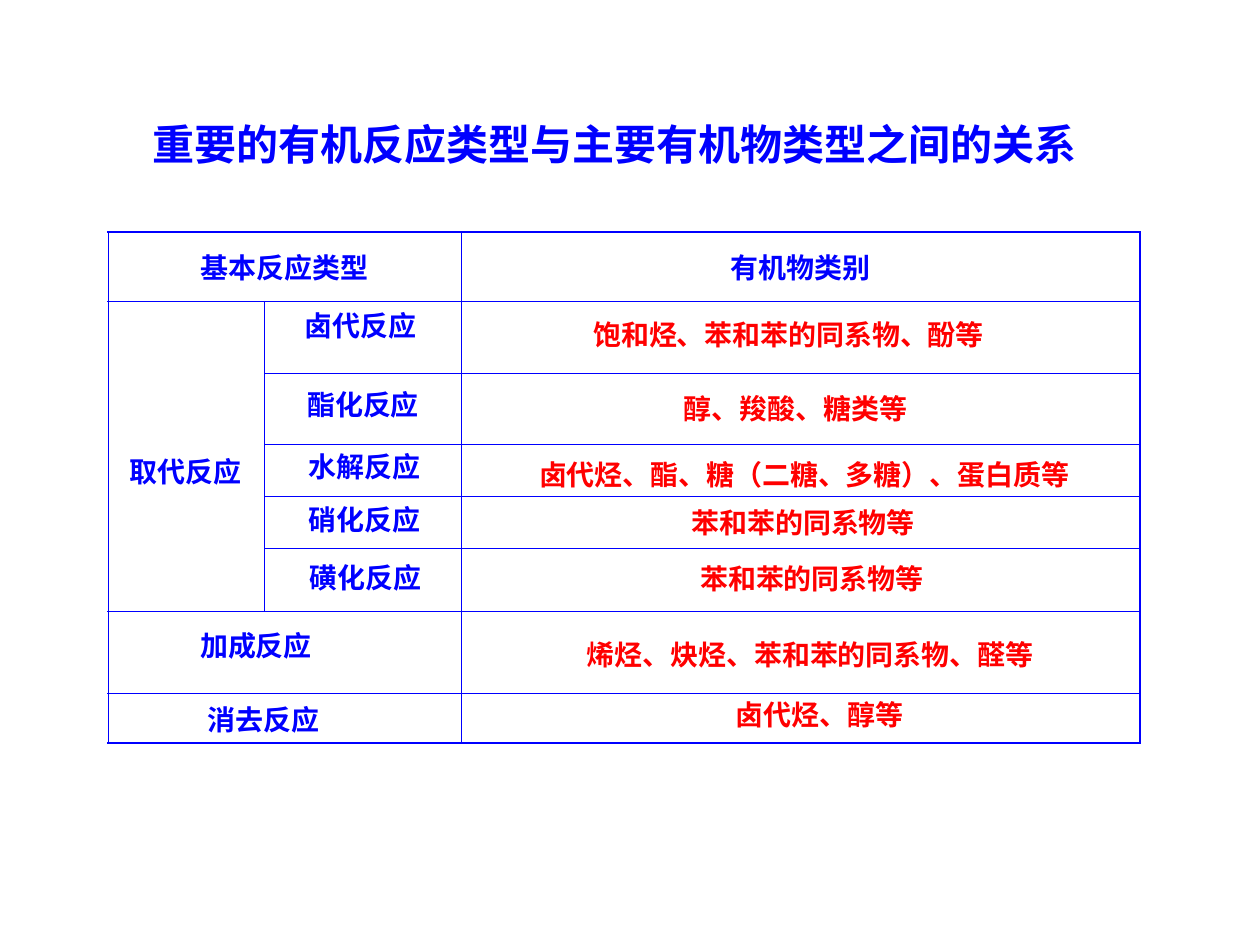
"""Build a slide relating organic reaction types to classes of organic compounds."""
from dataclasses import dataclass

from lxml import etree
from pptx import Presentation
from pptx.dml.color import RGBColor
from pptx.enum.text import MSO_ANCHOR, PP_ALIGN
from pptx.oxml.ns import qn
from pptx.util import Inches, Pt

MIDDLE = MSO_ANCHOR.MIDDLE
CENTER = PP_ALIGN.CENTER


@dataclass(frozen=True)
class Theme:
    font: str = "Noto Sans CJK SC"
    blue: RGBColor = RGBColor(0x00, 0x00, 0xFF)
    red: RGBColor = RGBColor(0xFF, 0x00, 0x00)
    title_size: float = 24
    body_size: float = 16
    empty_size: float = 10
    outer_line: float = 1.08
    inner_line: float = 0.45


@dataclass(frozen=True)
class Label:
    text: str
    left: float
    top: float
    width: float
    height: float = 0.37
    line_spacing: float = 1.0


THEME = Theme()
TITLE = Label("重要的有机反应类型与主要有机物类型之间的关系", 1.11, 0.89, 7.96, 0.5)
HEADERS = {0: "基本反应类型", 2: "有机物类别"}
COLUMNS = (1.24, 1.56, 5.39)
ROWS = (0.55, 0.57, 0.57, 0.41, 0.41, 0.5, 0.65, 0.4)
MERGES = (((0, 0), (0, 1)), ((1, 0), (5, 0)), ((6, 0), (6, 1)), ((7, 0), (7, 1)))

REACTIONS = (
    Label("取代反应", 0.93, 3.48, 1.21, 0.45, 1.3),
    Label("卤代反应", 2.32, 2.32, 1.57, 0.45, 1.3),
    Label("酯化反应", 2.34, 3.03, 1.29),
    Label("水解反应", 2.35, 3.52, 1.4),
    Label("硝化反应", 2.35, 3.94, 1.23),
    Label("磺化反应", 2.36, 4.4, 1.13),
    Label("加成反应", 1.49, 4.94, 1.22),
    Label("消去反应", 1.55, 5.53, 1.19),
)
COMPOUNDS = (
    Label("饱和烃、苯和苯的同系物、酚等", 4.61, 2.47, 3.62),
    Label("醇、羧酸、糖类等", 5.33, 3.06, 2.59),
    Label("卤代烃、酯、糖（二糖、多糖）、蛋白质等", 4.18, 3.58, 4.79),
    Label("苯和苯的同系物等", 5.39, 3.96, 2.18),
    Label("苯和苯的同系物等", 5.46, 4.41, 2.04),
    Label("烯烃、炔烃、苯和苯的同系物、醛等", 4.56, 5.01, 4.01),
    Label("卤代烃、醇等", 5.74, 5.49, 1.78),
)


def style_text(para, size: float, color: RGBColor) -> None:
    for span in para.runs:
        span.font.size = Pt(size)
        span.font.bold = True
        span.font.name = THEME.font
        span.font.color.rgb = color
        east_asian = etree.SubElement(span.font._element, qn("a:ea"))
        east_asian.set("typeface", THEME.font)


def add_label(page, label: Label, size: float, color: RGBColor) -> None:
    box = page.shapes.add_textbox(
        Inches(label.left), Inches(label.top), Inches(label.width), Inches(label.height)
    )
    box.text_frame.word_wrap = True
    box.text_frame.text = label.text
    para = box.text_frame.paragraphs[0]
    para.line_spacing = label.line_spacing
    style_text(para, size, color)


def set_borders(cell, row: int, column: int) -> None:
    edges = {
        "a:lnL": column == 0,
        "a:lnR": column == len(COLUMNS) - 1,
        "a:lnT": row == 0,
        "a:lnB": row == len(ROWS) - 1,
    }
    properties = cell._tc.get_or_add_tcPr()
    for tag, is_outer in edges.items():
        width = THEME.outer_line if is_outer else THEME.inner_line
        line = etree.SubElement(properties, qn(tag), w=str(int(Pt(width))))
        fill = etree.SubElement(line, qn("a:solidFill"))
        etree.SubElement(fill, qn("a:srgbClr"), val=str(THEME.blue))


def fill_cell(cell, text: str) -> None:
    cell.fill.background()
    cell.vertical_anchor = MIDDLE
    cell.text_frame.text = text
    para = cell.text_frame.paragraphs[0]
    para.alignment = CENTER
    style_text(para, THEME.body_size, THEME.blue)
    if not text:
        size = str(int(THEME.empty_size * 100))
        etree.SubElement(para._p, qn("a:endParaRPr"), sz=size)


def add_grid(page) -> None:
    frame = page.shapes.add_table(
        len(ROWS), len(COLUMNS), Inches(0.86), Inches(1.84),
        Inches(sum(COLUMNS)), Inches(sum(ROWS)),
    )
    table = frame.table
    table.first_row = False
    table.horz_banding = False
    for column, width in enumerate(COLUMNS):
        table.columns[column].width = Inches(width)
    for row, height in enumerate(ROWS):
        table.rows[row].height = Inches(height)
        for column in range(len(COLUMNS)):
            cell = table.cell(row, column)
            set_borders(cell, row, column)
            fill_cell(cell, HEADERS.get(column, "") if row == 0 else "")
    for first, last in MERGES:
        table.cell(*first).merge(table.cell(*last))


def main() -> None:
    deck = Presentation()
    deck.slide_width = Inches(10)
    deck.slide_height = Inches(7.5)
    page = deck.slides.add_slide(deck.slide_layouts[6])
    add_label(page, TITLE, THEME.title_size, THEME.blue)
    add_grid(page)
    for labels, color in ((REACTIONS, THEME.blue), (COMPOUNDS, THEME.red)):
        for label in labels:
            add_label(page, label, THEME.body_size, color)
    deck.save("out.pptx")


if __name__ == "__main__":
    main()
